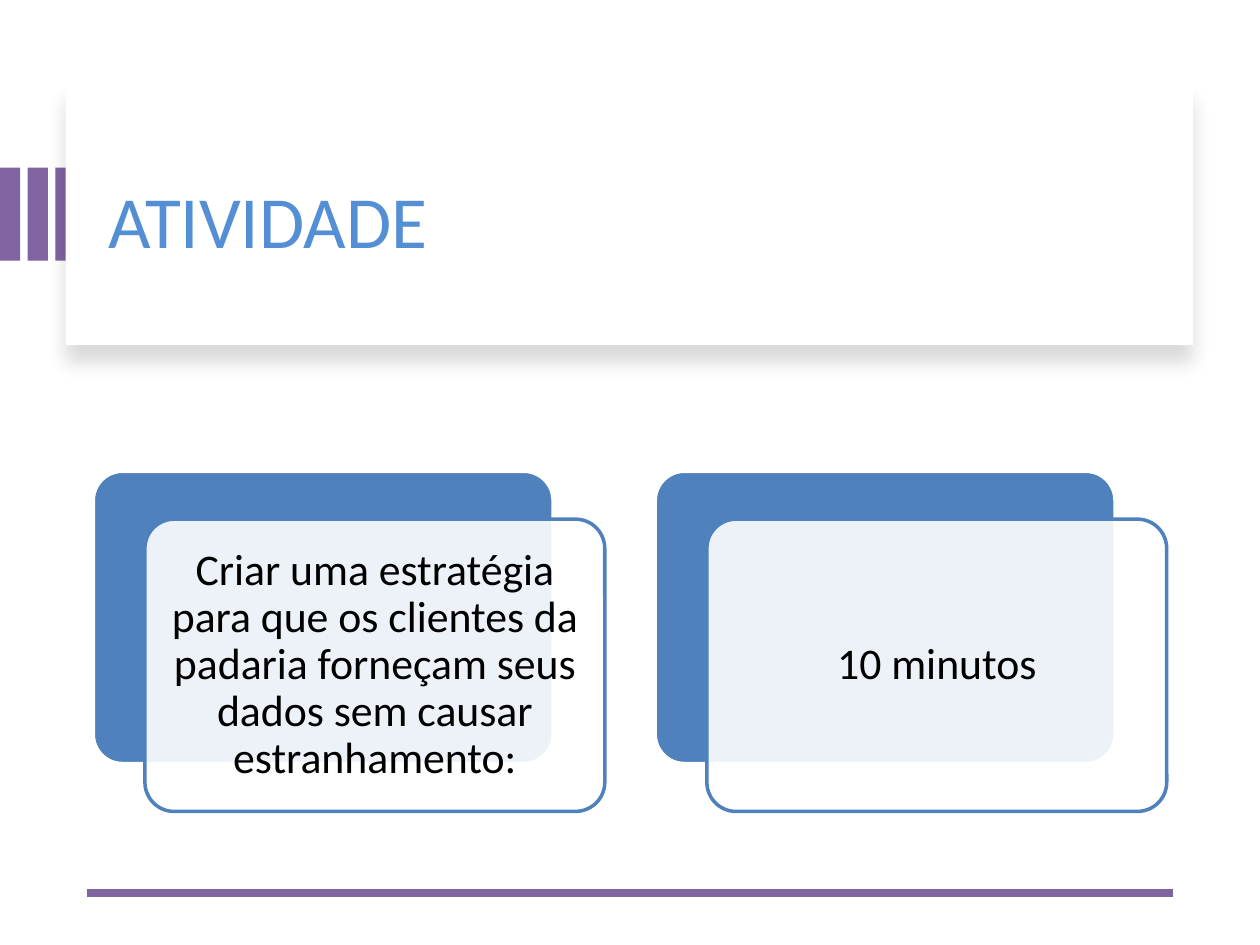
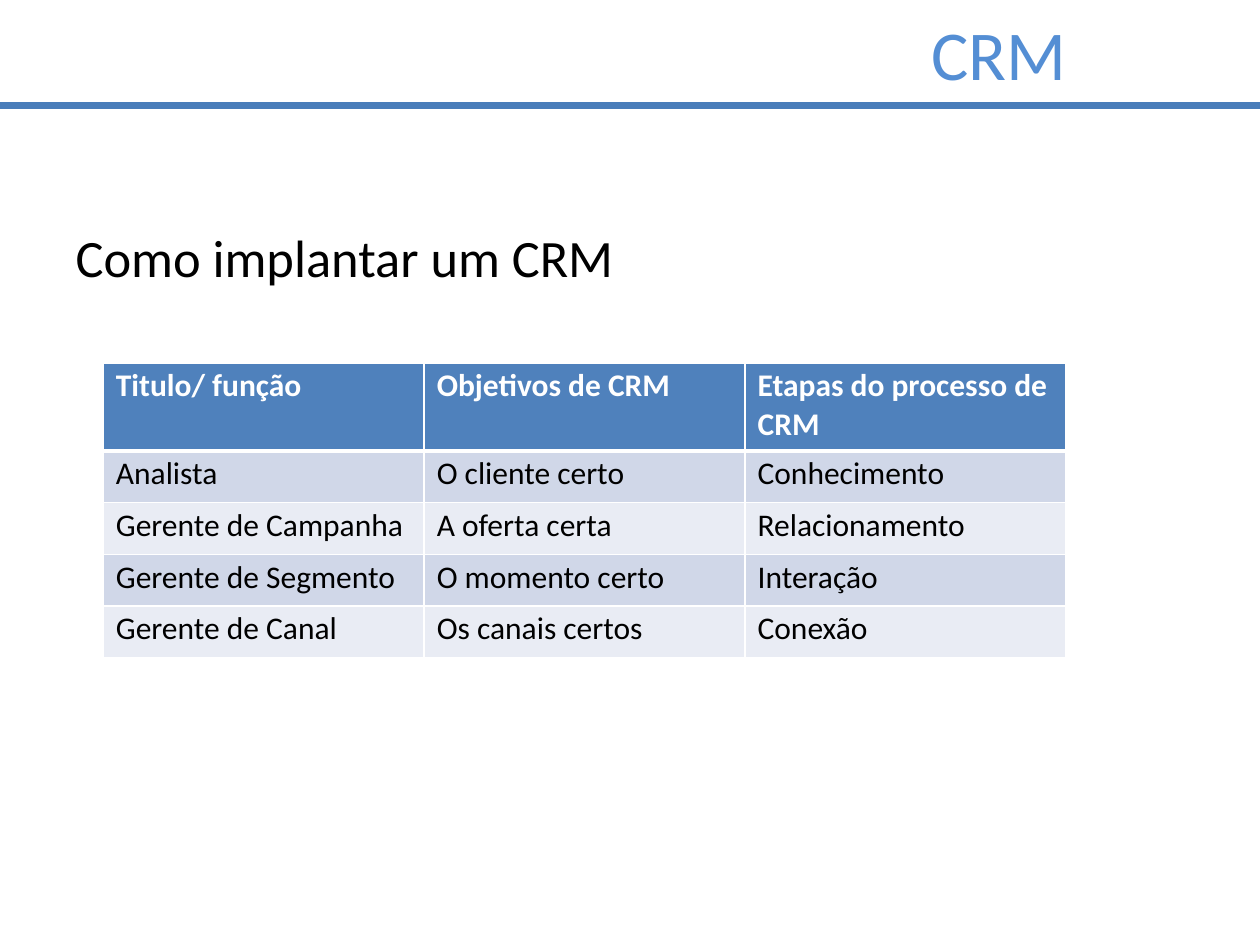
from collections import namedtuple

from lxml import etree
from pptx import Presentation
from pptx.dml.color import RGBColor
from pptx.enum.shapes import MSO_CONNECTOR as Connector, MSO_SHAPE as Shape
from pptx.enum.text import MSO_ANCHOR as Anchor, PP_ALIGN as Align
from pptx.oxml.ns import qn
from pptx.util import Inches, Pt

FONT = "Calibri"
WHITE, BLACK = "FFFFFF", "000000"
PURPLE, BLUE, TITLE_BLUE = "8064A2", "4F81BD", "548ED4"
HEADER_BLUE, RULE_BLUE = "4F81BC", "497DBA"
BANDS = ("D0D7E8", "E9ECF4")

COLUMNS, ROWS = 100, 75
CELL = Inches(0.1)

Box = namedtuple("Box", "left top width height")
PAGE = Box(0, 0, COLUMNS, ROWS)


def inside(box, left, top, width, height):
    return Box(box.left + left, box.top + top, width, height)


def lengths(box):
    return [round(value * CELL) for value in box]


def color(hex_string):
    return RGBColor.from_string(hex_string)


def add_xml(parent, tag, **attributes):
    names = {name: str(value) for name, value in attributes.items()}
    return etree.SubElement(parent, qn(tag), names)


def write_text(frame, text, size=18, ink=BLACK, bold=False, align=Align.LEFT,
               spacing=None):
    frame.word_wrap = True
    for index, line in enumerate(text.split("\n")):
        paragraph = frame.add_paragraph() if index else frame.paragraphs[0]
        paragraph.alignment = align
        paragraph.line_spacing = spacing
        run = paragraph.add_run()
        run.text = line
        run.font.name = FONT
        run.font.size = Pt(size)
        run.font.bold = bold
        run.font.color.rgb = color(ink)


def set_margins(target, left=0, top=0, right=0, bottom=0):
    target.margin_left, target.margin_top = Inches(left), Inches(top)
    target.margin_right, target.margin_bottom = Inches(right), Inches(bottom)


def add_text(slide, box, text, anchor=Anchor.TOP, **text_format):
    frame = slide.shapes.add_textbox(*lengths(box)).text_frame
    set_margins(frame)
    frame.vertical_anchor = anchor
    write_text(frame, text, **text_format)


def add_block(slide, box, fill, kind=Shape.RECTANGLE, line=None):
    shape = slide.shapes.add_shape(kind, *lengths(box))
    shape.shadow.inherit = False
    shape.fill.solid()
    shape.fill.fore_color.rgb = color(fill)
    if line:
        shape.line.color.rgb = color(line)
        shape.line.width = Pt(2)
    else:
        shape.line.fill.background()
    return shape


def add_rule(slide, left, right, top, ink, width):
    ends = lengths((left, top, right, top))
    rule = slide.shapes.add_connector(Connector.STRAIGHT, *ends)
    rule.line.color.rgb = color(ink)
    rule.line.width = Pt(width)
    add_xml(rule._element.spPr, "a:effectLst")


def add_soft_shadow(shape):
    effects = shape._element.spPr.find(qn("a:effectLst"))
    shadow = add_xml(effects, "a:outerShdw", blurRad=Pt(11), dist=Pt(10),
                     dir=90 * 60000, algn="t", rotWithShape=0)
    ink = add_xml(shadow, "a:srgbClr", val=BLACK)
    add_xml(ink, "a:alpha", val=15000)


def add_title_band(slide, box, title):
    for index in range(3):
        add_block(slide, inside(box, 2.2 * index, 6.6, 1.6, 7.4), PURPLE)
    panel = add_block(slide, inside(box, 5.2, 0, 89.5, box.height), WHITE)
    add_soft_shadow(panel)
    add_text(slide, inside(box, 8.6, 2.2, 83.4, 17), title,
             anchor=Anchor.MIDDLE, size=42, ink=TITLE_BLUE)


def add_card(slide, box, text):
    width, height = box.width - 4.1, box.height - 3.8
    back = add_block(slide, inside(box, 0, 0, width, height), BLUE,
                     Shape.ROUNDED_RECTANGLE, WHITE)
    front = add_block(slide, inside(box, 4.1, 3.8, width, height), WHITE,
                      Shape.ROUNDED_RECTANGLE, BLUE)
    for shape in (back, front):
        shape.adjustments[0] = 0.1
    fill = front._element.spPr.find(qn("a:solidFill"))
    add_xml(fill[0], "a:alpha", val=90000)
    frame = front.text_frame
    set_margins(frame, 0.1, 0.1, 0.1, 0.1)
    frame.vertical_anchor = Anchor.MIDDLE
    write_text(frame, text, size=25, align=Align.CENTER, spacing=0.9)


def add_cards(slide, box, texts):
    step = 44.6
    for index, text in enumerate(texts):
        add_card(slide, inside(box, index * step, 0, 40.6, box.height), text)


def set_borders(cell, top, bottom):
    properties = cell._tc.get_or_add_tcPr()
    widths = {"a:lnL": 1, "a:lnR": 1, "a:lnT": top, "a:lnB": bottom}
    for tag, width in widths.items():
        line = add_xml(properties, tag, w=Pt(width))
        add_xml(add_xml(line, "a:solidFill"), "a:srgbClr", val=WHITE)


def add_role_table(slide, box, rows):
    header_height, row_height = 7, 4.1
    frame = slide.shapes.add_table(len(rows), len(rows[0]), *lengths(box))
    table = frame.table
    table.horz_banding = False
    for column in table.columns:
        column.width = round(box.width / len(rows[0]) * CELL)
    for index, texts in enumerate(rows):
        is_header = index == 0
        height = header_height if is_header else row_height
        table.rows[index].height = round(height * CELL)
        for position, text in enumerate(texts):
            cell = table.cell(index, position)
            set_margins(cell, left=0.1, top=0.03)
            set_borders(cell, 3 if index == 1 else 1, 3 if is_header else 1)
            cell.fill.solid()
            fill = HEADER_BLUE if is_header else BANDS[(index - 1) % 2]
            cell.fill.fore_color.rgb = color(fill)
            write_text(cell.text_frame, text, bold=is_header,
                       ink=WHITE if is_header else BLACK)


def add_top_title(slide, box, title):
    add_text(slide, inside(box, 73.9, 0.8, 12, 7), title,
             size=40, ink=TITLE_BLUE)
    add_rule(slide, box.left, box.left + box.width, box.top + box.height,
             RULE_BLUE, 4)


def build_activity_slide(slide):
    add_title_band(slide, inside(PAGE, 0, 6.7, COLUMNS, 20.7), "ATIVIDADE")
    add_rule(slide, 6.9, 93.1, 70.9, PURPLE, 4.5)
    add_cards(slide, inside(PAGE, 7.4, 37.4, 85.2, 27), (
        "Criar uma estratégia para que os clientes da padaria "
        "forneçam seus dados sem causar estranhamento:",
        "10 minutos",
    ))


def build_crm_slide(slide):
    add_text(slide, inside(PAGE, 6, 17.9, 50, 5.3),
             "Como implantar um CRM", size=30)
    add_role_table(slide, inside(PAGE, 8.2, 28.8, 76.4, 23.4), (
        ("Titulo/ função", "Objetivos de CRM", "Etapas do processo de\nCRM"),
        ("Analista", "O cliente certo", "Conhecimento"),
        ("Gerente de Campanha", "A oferta certa", "Relacionamento"),
        ("Gerente de Segmento", "O momento certo", "Interação"),
        ("Gerente de Canal", "Os canais certos", "Conexão"),
    ))
    add_top_title(slide, inside(PAGE, 0, 0, COLUMNS, 8.4), "CRM")


def main():
    presentation = Presentation()
    presentation.slide_width = COLUMNS * CELL
    presentation.slide_height = ROWS * CELL
    blank = presentation.slide_layouts[6]
    for build in (build_activity_slide, build_crm_slide):
        build(presentation.slides.add_slide(blank))
    presentation.save("out.pptx")


if __name__ == "__main__":
    main()
